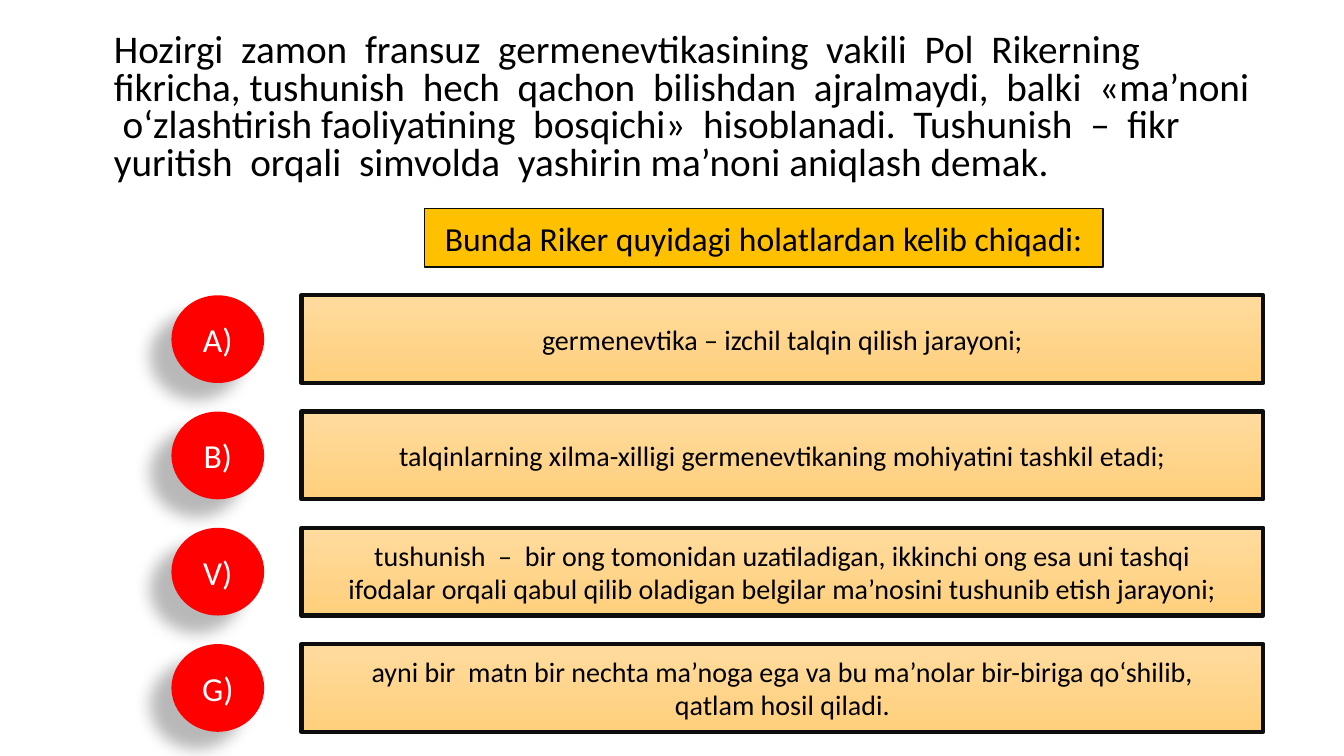
from lxml.etree import SubElement
from pptx import Presentation
from pptx.dml.color import RGBColor
from pptx.enum.shapes import MSO_SHAPE as SHAPE
from pptx.enum.text import MSO_ANCHOR as ANCHOR, MSO_AUTO_SIZE as AUTO, PP_ALIGN as ALIGN
from pptx.oxml.ns import qn
from pptx.util import Inches, Pt

INTRO = (
    "Hozirgi  zamon  fransuz  germenevtikasining  vakili  Pol  Rikerning  "
    "fikricha, tushunish  hech  qachon  bilishdan  ajralmaydi,  balki  «ma’noni  "
    "o‘zlashtirish faoliyatining  bosqichi»  hisoblanadi.  Tushunish  –  fikr  "
    "yuritish  orqali  simvolda  yashirin ma’noni aniqlash demak."
)
HEADING = "Bunda Riker quyidagi holatlardan kelib chiqadi:"
POINTS = [
    ("A)", ["germenevtika – izchil talqin qilish jarayoni;"]),
    ("B)", ["talqinlarning xilma-xilligi germenevtikaning mohiyatini tashkil etadi;"]),
    ("V)", ["tushunish  –  bir ong tomonidan uzatiladigan, ikkinchi ong esa uni tashqi",
            "ifodalar orqali qabul qilib oladigan belgilar ma’nosini tushunib etish jarayoni;"]),
    ("G)", ["ayni bir  matn bir nechta ma’noga ega va bu ma’nolar bir-biriga qo‘shilib,",
            "qatlam hosil qiladi."]),
]
FONT = "Calibri"
BLACK, WHITE, BORDER = "000000", "FFFFFF", "0D0D0D"
AMBER, RED = "FFC000", "FF0000"
PEACH = ("FFDB9E", "FFD07C")
FIRST_TOP, LAST_TOP, ROW_H = 2.93, 6.39, 0.87


def rgb(color):
    return RGBColor.from_string(color)


def style(p, size, color, align):
    p.alignment = align
    for r in p.runs:
        r.font.name = FONT
        r.font.size = Pt(size)
        r.font.color.rgb = rgb(color)


def add_block(s, kind, box, lines, size, color, fill, line_width=0):
    sp = s.shapes.add_shape(kind, *map(Inches, box))
    sp.shadow.inherit = False
    if isinstance(fill, tuple):
        sp.fill.gradient()
        sp.fill.gradient_angle = 270
        for stop, shade in zip(sp.fill.gradient_stops, fill):
            stop.color.rgb = rgb(shade)
    else:
        sp.fill.solid()
        sp.fill.fore_color.rgb = rgb(fill)
    if line_width:
        sp.line.color.rgb = rgb(BORDER)
        sp.line.width = Pt(line_width)
    else:
        sp.line.fill.background()
    tf = sp.text_frame
    tf.word_wrap = True
    tf.vertical_anchor = ANCHOR.MIDDLE
    tf.text = "\n".join(lines)
    for p in tf.paragraphs:
        style(p, size, color, ALIGN.CENTER)
    return sp


def add_shadow(sp):
    effects = sp._element.spPr.find(qn("a:effectLst"))
    shadow = SubElement(effects, qn("a:outerShdw"), blurRad=str(Pt(11.8)),
                        dist=str(Pt(19.7)), dir=str(141 * 60000), rotWithShape="0")
    color = SubElement(shadow, qn("a:srgbClr"), val=BLACK)
    SubElement(color, qn("a:alpha"), val="28000")


def add_intro(s):
    s.shapes.title._element.getparent().remove(s.shapes.title._element)
    sp = s.placeholders[1]
    sp.left, sp.top, sp.width, sp.height = map(Inches, (1.03, 0.28, 11.5, 1.69))
    tf = sp.text_frame
    tf.word_wrap = True
    tf.auto_size = AUTO.NONE
    tf.vertical_anchor = ANCHOR.TOP
    tf.text = INTRO
    p = tf.paragraphs[0]
    pPr = p._p.get_or_add_pPr()
    pPr.set("marL", "0")
    pPr.set("indent", "0")
    SubElement(pPr, qn("a:buNone"))
    p.line_spacing = 0.8
    p.space_before = Pt(0)
    style(p, 28, BLACK, ALIGN.LEFT)


def main():
    prs = Presentation()
    prs.slide_width, prs.slide_height = Inches(13.33), Inches(7.5)
    s = prs.slides.add_slide(prs.slide_layouts[1])
    add_intro(s)
    add_block(s, SHAPE.RECTANGLE, (4.21, 2.07, 6.73, 0.58), [HEADING], 24, BLACK, AMBER, 1)
    pitch = (LAST_TOP - FIRST_TOP) / (len(POINTS) - 1)
    for i, (letter, lines) in enumerate(POINTS):
        top = FIRST_TOP + i * pitch
        add_block(s, SHAPE.RECTANGLE, (2.99, top, 9.54, ROW_H), lines, 20, BLACK, PEACH, 3)
        badge = add_block(s, SHAPE.OVAL, (1.7, top, 0.92, ROW_H), [letter], 24, WHITE, RED)
        add_shadow(badge)
    prs.save("out.pptx")


if __name__ == "__main__":
    main()
